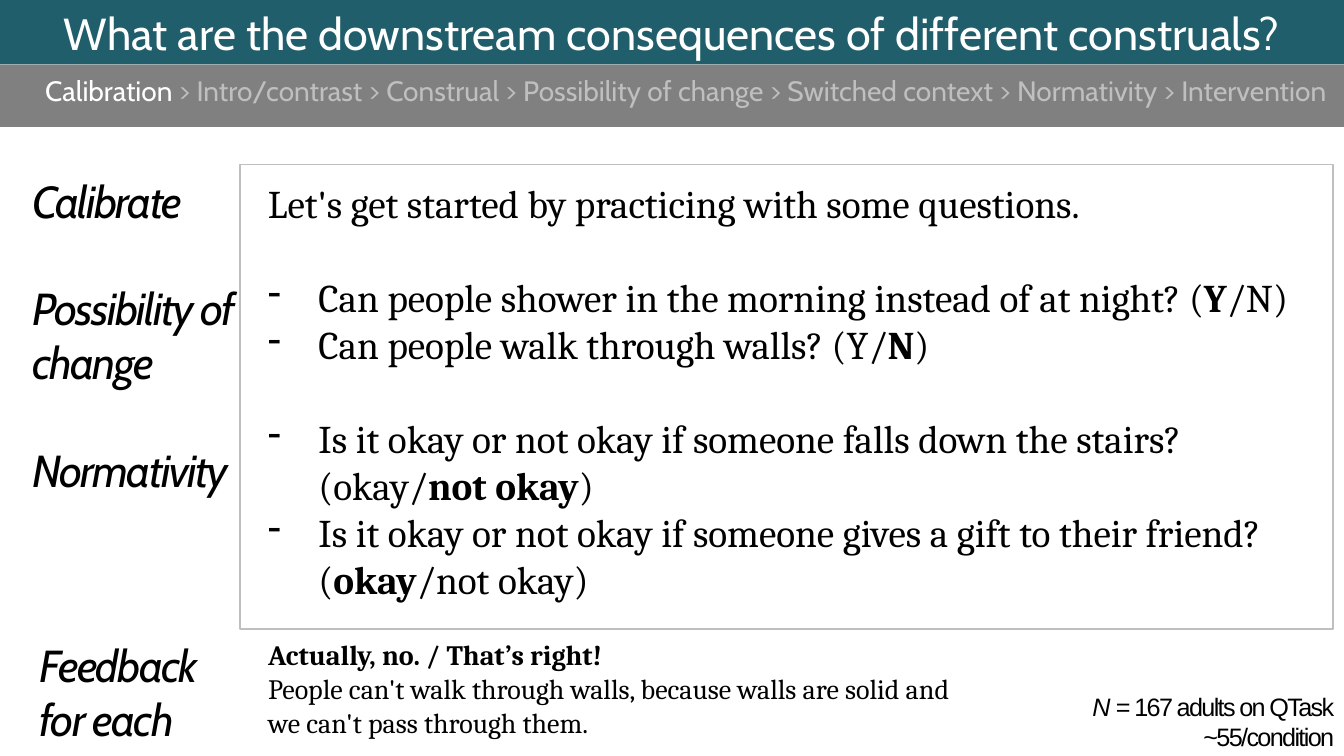
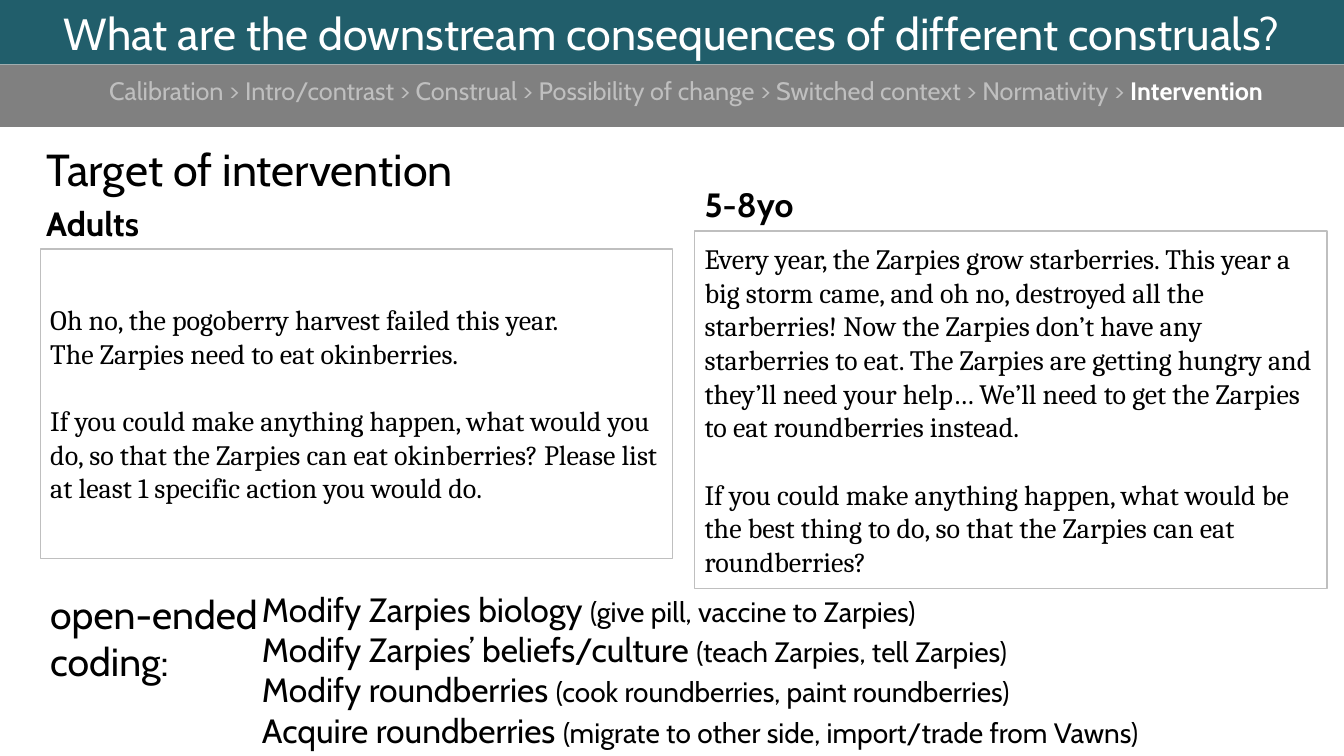
from pptx import Presentation, util as u
from pptx.dml.color import RGBColor
from pptx.enum import shapes, text
from pptx.oxml.ns import qn
from lxml import etree

W, H = 13.33, 7.5
BAND, NAV = 0.64, 0.62
THEME = dict(
    teal="215E6B", gray="808080", rule="BFBFBF", ink="000000", paper="FFFFFF",
    head=32, big=28, mid=24, body=20, note=18,
    sans="Cabin", serif="Cambria", plain="Arial",
)
T = THEME
LEFT, MID, RIGHT = text.PP_ALIGN.LEFT, text.PP_ALIGN.CENTER, text.PP_ALIGN.RIGHT

TITLE = "What are the downstream consequences of different construals?"
STEPS = ["Calibration", "Intro/contrast", "Construal", "Possibility of change",
         "Switched context", "Normativity", "Intervention"]

INTRO = "Let's get started by practicing with some questions."
ASKS = [
    "Can people shower in the morning instead of at night? (*Y*/N)",
    "Can people walk through walls? (Y/*N*)",
    "Is it okay or not okay if someone falls down the stairs? (okay/*not okay*)",
    "Is it okay or not okay if someone gives a gift to their friend? (*okay*/not okay)",
]
PARTS = ["Calibrate", "Possibility of change", "Normativity"]
REPLY = [
    "*Actually, no. / That’s right!*",
    "People can't walk through walls, because walls are solid and we can't pass through them.",
]
SAMPLE = ["*N *= 167 adults on QTask", "~55/condition"]

GROUPS = [
    ("Adults", (0.36, 1.96), (0.4, 2.47, 6.27, 3.07), [
        "Oh no, the pogoberry harvest failed this year.",
        "The Zarpies need to eat okinberries.",
        "If you could make anything happen, what would you do, so that the Zarpies "
        "can eat okinberries? Please list at least 1 specific action you would do."]),
    ("5-8yo", (6.89, 1.78), (6.89, 2.29, 6.27, 3.55), [
        "Every year, the Zarpies grow starberries. This year a big storm came, and "
        "oh no, destroyed all the starberries! Now the Zarpies don’t have any "
        "starberries to eat. The Zarpies are getting hungry and they’ll need your "
        "help… We’ll need to get the Zarpies to eat roundberries instead.",
        "If you could make anything happen, what would be the best thing to do, so "
        "that the Zarpies can eat roundberries?"]),
]
CODES = [
    "Modify Zarpies biology *(give pill, vaccine to Zarpies)*",
    "Modify Zarpies’ beliefs/culture *(teach Zarpies, tell Zarpies)*",
    "Modify roundberries *(cook roundberries, paint roundberries)*",
    "Acquire roundberries *(migrate to other side, import/trade from Vawns)*",
]


def rgb(name):
    return RGBColor.from_string(T[name])


def style(run, font="sans", size="body", color="ink", bold=False, italic=False, track=0):
    f = run.font
    f.name, f.size = T[font], u.Pt(T[size])
    f.color.rgb = rgb(color)
    f.bold, f.italic = bold, italic
    if track:
        run._r.get_or_add_rPr().set("spc", str(round(track * 100)))


def indent(para, left, first=0, mark=None):
    ppr = para._p.get_or_add_pPr()
    ppr.set("marL", str(u.Inches(left)))
    ppr.set("indent", str(u.Inches(first)))
    if mark:
        etree.SubElement(ppr, qn("a:buChar")).set("char", mark)


def write(box, lines, alt=None, align=LEFT, gaps=None, marks=(), **look):
    frame = box.text_frame
    frame.word_wrap = True
    for i, line in enumerate(lines):
        para = frame.paragraphs[0] if i == 0 else frame.add_paragraph()
        para.alignment = align
        if gaps and i in gaps:
            para.space_before = u.Pt(gaps[i])
        if i in marks:
            indent(para, 0.5, -0.5, "-")
        for j, part in enumerate(line.split("*")):
            if part:
                run = para.add_run()
                run.text = part
                style(run, **{**look, **((alt or {}) if j % 2 else {})})
    return box


def place(at):
    return [u.Inches(v) for v in at]


def label(slide, at, lines, **look):
    return write(slide.shapes.add_textbox(*place(at)), lines, **look)


def panel(slide, at, fill=None, line=None):
    box = slide.shapes.add_shape(shapes.MSO_SHAPE.RECTANGLE, *place(at))
    box.shadow.inherit = False
    box.text_frame.vertical_anchor = text.MSO_ANCHOR.MIDDLE
    if fill:
        box.fill.solid()
        box.fill.fore_color.rgb = rgb(fill)
    else:
        box.fill.background()
    if line:
        box.line.color.rgb = rgb(line)
        box.line.width = u.Pt(1)
    else:
        box.line.fill.background()
    return box


def start(deck, now, size, bold):
    slide = deck.slides.add_slide(deck.slide_layouts[5])
    head = slide.shapes.title
    head.left, head.top, head.width, head.height = place((0, 0, W, BAND))
    head.fill.solid()
    head.fill.fore_color.rgb = rgb("teal")
    head.text_frame.auto_size = text.MSO_AUTO_SIZE.NONE
    head.text_frame.vertical_anchor = text.MSO_ANCHOR.MIDDLE
    write(head, [TITLE], align=MID, size="head", color="paper")
    nav = panel(slide, (0, BAND, W, NAV), fill="gray")
    nav.text_frame.margin_top, nav.text_frame.margin_bottom = 0, u.Inches(0.06)
    trail = " > ".join(f"*{s}*" if s == now else s for s in STEPS)
    write(nav, [trail], alt=dict(color="paper", bold=bold), align=MID,
          size=size, color="rule")
    para = nav.text_frame.paragraphs[0]
    indent(para, 0.28)
    para.line_spacing = 0.85
    return slide


def practice(deck):
    slide = start(deck, STEPS[0], "body", False)
    side = dict(size="head", italic=True, track=-1.2)
    label(slide, (2.56, 1.73, 10.77, 4.27), [INTRO, *ASKS], alt=dict(bold=True),
          gaps={1: 33.6, 3: 33.6}, marks=range(1, 5), font="serif", size="big")
    write(panel(slide, (10.72, 6.81, 2.61, 0.69), fill="paper"), SAMPLE,
          alt=dict(italic=True), align=RIGHT, font="plain", size="note", track=-1.2)
    label(slide, (0.22, 1.67, 2.29, 3.67), PARTS, gaps={1: 38.6, 2: 38.6}, **side)
    label(slide, (0.29, 6.28, 2.08, 1.27), ["Feedback for each"], **side)
    label(slide, (2.56, 6.28, 6.98, 1.11), REPLY, alt=dict(bold=True), font="serif")
    panel(slide, (2.38, 1.63, 10.84, 4.61), line="rule")


def target(deck):
    slide = start(deck, STEPS[-1], "note", True)
    label(slide, (0.36, 1.36, 4.5, 0.64), ["Target of intervention"], size="head")
    for name, spot, at, lines in GROUPS:
        label(slide, (*spot, 3, 0.5), [name], size="mid", bold=True)
        write(panel(slide, at, line="rule"), lines, gaps={len(lines) - 1: 24},
              font="serif")
    label(slide, (0.4, 5.81, 3.04, 1.04), ["open-ended", "coding:"], size="big")
    label(slide, (2.5, 5.79, 9.85, H - 5.79), CODES, alt=dict(size="body"), size="mid")


def main():
    deck = Presentation()
    deck.slide_width, deck.slide_height = place((W, H))
    practice(deck)
    target(deck)
    deck.save("out.pptx")


if __name__ == "__main__":
    main()
